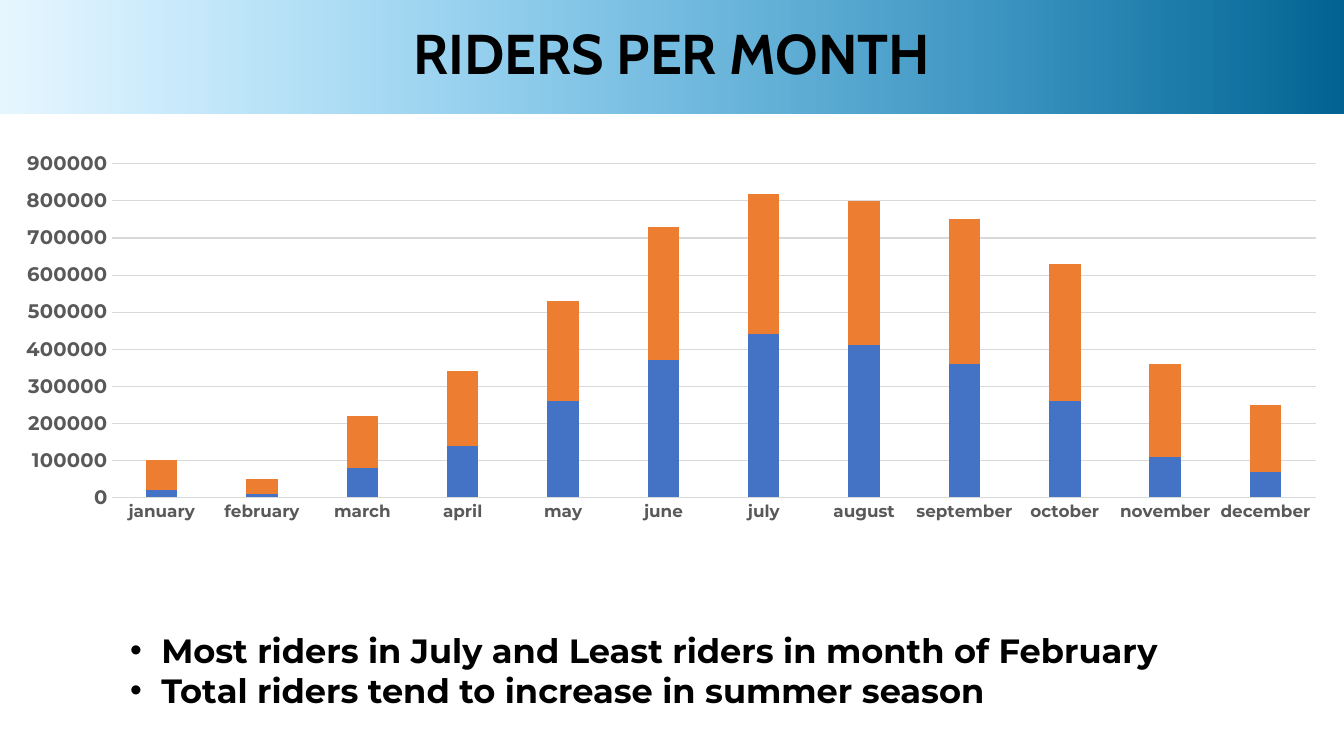
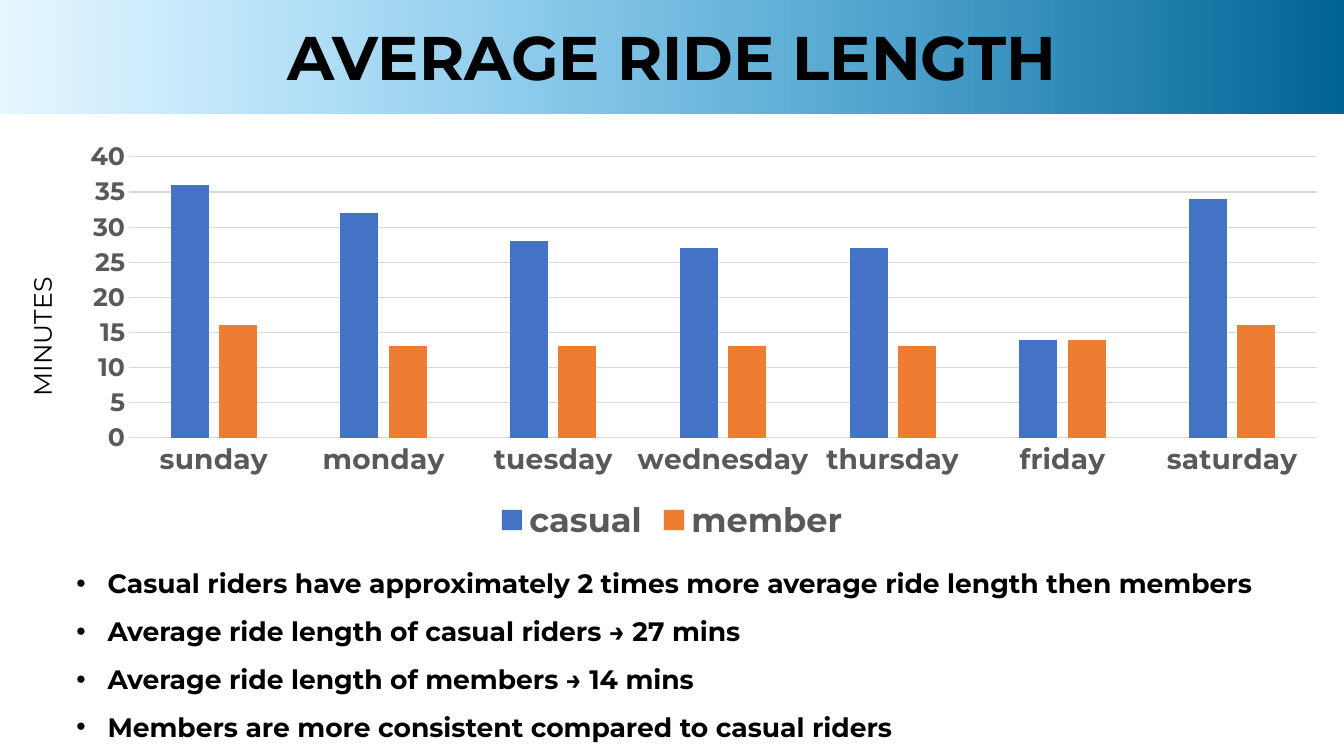
from lxml import etree
from pptx import Presentation
from pptx import util as u
from pptx.chart import data as chart_data
from pptx.dml import color
from pptx.enum import chart as charts, shapes, text
from pptx.oxml import ns, parse_xml

COLUMNS, ROWS = 32, 18
COLORS = {
    "ink": "000000",
    "label": "595959",
    "rule": "D9D9D9",
    "band_start": "00A6FB",
    "band_end": "006494",
    "casual": "4472C4",
    "member": "ED7D31",
}
BODY_FONT = "Montserrat"
BULLET_INDENT = u.Inches(0.31)


def rgb(name):
    return color.RGBColor.from_string(COLORS[name])


def apply(target, **values):
    for name, value in values.items():
        setattr(target, name, value)


def style_font(font, size, ink="ink", bold=True, face=BODY_FONT):
    apply(font, size=u.Pt(size), bold=bold, name=face)
    font.color.rgb = rgb(ink)


def set_layout(parent, **shares):
    layout = parent.get_or_add_layout() if hasattr(parent, "get_or_add_layout") else None
    if layout is None:
        layout = parent.find(ns.qn("c:layout"))
    if layout is None:
        layout = parse_xml(f"<c:layout {ns.nsdecls('c')}/>")
        before = parent.find(ns.qn("c:tx"))
        if before is None:
            parent.insert(0, layout)
        else:
            before.addnext(layout)
    for child in list(layout):
        layout.remove(child)
    manual = etree.SubElement(layout, ns.qn("c:manualLayout"))
    if "w" in shares:
        etree.SubElement(manual, ns.qn("c:layoutTarget"), val="inner")
    for axis in "xy":
        etree.SubElement(manual, ns.qn(f"c:{axis}Mode"), val="edge")
    for name, percent in shares.items():
        etree.SubElement(manual, ns.qn(f"c:{name}"), val=f"{percent / 100:.4f}")


class Deck:
    def __init__(self):
        self.show = Presentation()
        apply(self.show, slide_width=u.Inches(13.33), slide_height=u.Inches(7.5))
        self.slide = None

    def place(self, left, top, width, height):
        column = self.show.slide_width / COLUMNS
        row = self.show.slide_height / ROWS
        return [round(n * unit) for n, unit in
                zip((left, top, width, height), (column, row, column, row))]

    def start(self, heading, area, size, face=BODY_FONT):
        self.slide = self.show.slides.add_slide(self.show.slide_layouts[6])
        self.band()
        frame = self.frame(area)
        frame.vertical_anchor = text.MSO_ANCHOR.MIDDLE
        line = frame.paragraphs[0]
        apply(line, text=heading, alignment=text.PP_ALIGN.CENTER, line_spacing=0.9)
        style_font(line.runs[0].font, size, face=face)

    def band(self):
        band = self.slide.shapes.add_shape(
            shapes.MSO_SHAPE.RECTANGLE, *self.place(0, 0, COLUMNS, 2.7))
        band.shadow.inherit = False
        band.line.fill.background()
        band.fill.gradient()
        band.fill.gradient_angle = 0
        for stop, name, position in zip(
                band.fill.gradient_stops, ("band_start", "band_end"), (0, 1)):
            stop.position = position
            stop.color.rgb = rgb(name)
        start = band.fill._xPr.find(".//" + ns.qn("a:srgbClr"))
        etree.SubElement(start, ns.qn("a:alpha"), val="10000")

    def frame(self, area):
        frame = self.slide.shapes.add_textbox(*self.place(*area)).text_frame
        frame.word_wrap = True
        return frame

    def bullets(self, area, size, lines):
        frame = self.frame(area)
        for index, (words, spacing) in enumerate(lines):
            line = frame.add_paragraph() if index else frame.paragraphs[0]
            properties = line._p.get_or_add_pPr()
            properties.set("marL", str(BULLET_INDENT))
            properties.set("indent", str(-BULLET_INDENT))
            etree.SubElement(properties, ns.qn("a:buFont"), typeface="Arial")
            etree.SubElement(properties, ns.qn("a:buChar"), char="•")
            apply(line, text=words, line_spacing=spacing)
            style_font(line.runs[0].font, size)

    def columns(self, area, kind, categories, series, overlap, scale, sizes, plot_area):
        data = chart_data.CategoryChartData()
        data.categories = categories
        for name, values in series.items():
            data.add_series(name, values)
        chart = self.slide.shapes.add_chart(kind, *self.place(*area), data).chart
        apply(chart, has_title=False, has_legend=False)
        style_font(chart.font, sizes["value"], "label")
        plot = chart.plots[0]
        apply(plot, gap_width=219, overlap=overlap, vary_by_categories=False)
        for group in plot.series:
            group.format.fill.solid()
            group.format.fill.fore_color.rgb = rgb(group.name)
        maximum, step = scale
        apply(chart.value_axis, minimum_scale=0, maximum_scale=maximum, major_unit=step)
        for axis, role in ((chart.category_axis, "category"), (chart.value_axis, "value")):
            apply(axis, major_tick_mark=charts.XL_TICK_MARK.NONE,
                  minor_tick_mark=charts.XL_TICK_MARK.NONE)
            style_font(axis.tick_labels.font, sizes[role], "label")
        chart.value_axis.format.line.fill.background()
        for line in (chart.category_axis.format.line,
                     chart.value_axis.major_gridlines.format.line):
            line.color.rgb = rgb("rule")
            line.width = u.Pt(0.75)
        set_layout(chart._chartSpace.chart.plotArea, **plot_area)
        return chart

    def legend(self, chart, size):
        chart.has_legend = True
        apply(chart.legend, position=charts.XL_LEGEND_POSITION.BOTTOM,
              include_in_layout=False)
        style_font(chart.legend.font, size, "label")

    def axis_title(self, axis, words, size, x, y):
        axis.has_title = True
        frame = axis.axis_title.text_frame
        frame.text = words
        style_font(frame.paragraphs[0].runs[0].font, size, bold=False)
        properties = frame._txBody.find(ns.qn("a:bodyPr"))
        properties.set("rot", "-5400000")
        properties.set("vert", "horz")
        set_layout(axis.axis_title._element, x=x, y=y)


def riders_per_month(deck):
    deck.start("RIDERS PER MONTH", (1.44, -1.42, 29.12, 5.52), 40, "Cabin")
    months = ["january", "february", "march", "april", "may", "june", "july",
              "august", "september", "october", "november", "december"]
    thousands = {
        "casual": (20, 10, 80, 140, 260, 370, 440, 410, 360, 260, 110, 70),
        "member": (80, 40, 140, 200, 270, 360, 380, 390, 390, 370, 250, 180),
    }
    riders = {name: [n * 1000 for n in counts] for name, counts in thousands.items()}
    deck.columns((0, 3.43, COLUMNS, 10.51), charts.XL_CHART_TYPE.COLUMN_STACKED,
                 months, riders, 100, (900000, 100000),
                 {"category": 12, "value": 14},
                 {"x": 8.3, "y": 4.5, "w": 89.6, "h": 75.6})
    deck.bullets((2.86, 13.92, 26.3, 3.89), 24, [
        ("Most riders in July and Least riders in month of February", 2.0),
        ("Total riders tend to increase in summer season", 1.0),
    ])


def average_ride_length(deck):
    deck.start("AVERAGE RIDE LENGTH", (2.86, -0.86, 26.3, 4.6), 44)
    days = ["sunday", "monday", "tuesday", "wednesday", "thursday", "friday", "saturday"]
    minutes = {
        "casual": (36, 32, 28, 27, 27, 14, 34),
        "member": (16, 13, 13, 13, 13, 14, 16),
    }
    chart = deck.columns((0, 3.19, COLUMNS, 9.84), charts.XL_CHART_TYPE.COLUMN_CLUSTERED,
                         days, minutes, -27, (40, 5),
                         {"category": 20, "value": 18},
                         {"x": 9.6, "y": 5.55, "w": 88.4, "h": 68})
    deck.legend(chart, 24)
    deck.axis_title(chart.value_axis, "MINUTES", 18, 1.5, 33.6)
    findings = [
        "Casual riders have approximately 2 times more average ride length then members",
        "Average ride length of casual riders → 27 mins",
        "Average ride length of members → 14 mins",
        "Members are more consistent compared to casual riders",
    ]
    deck.bullets((1.58, 13.01, 29.74, 4.99), 19, [(words, 1.5) for words in findings])


def main():
    deck = Deck()
    riders_per_month(deck)
    average_ride_length(deck)
    deck.show.save("out.pptx")


if __name__ == "__main__":
    main()
